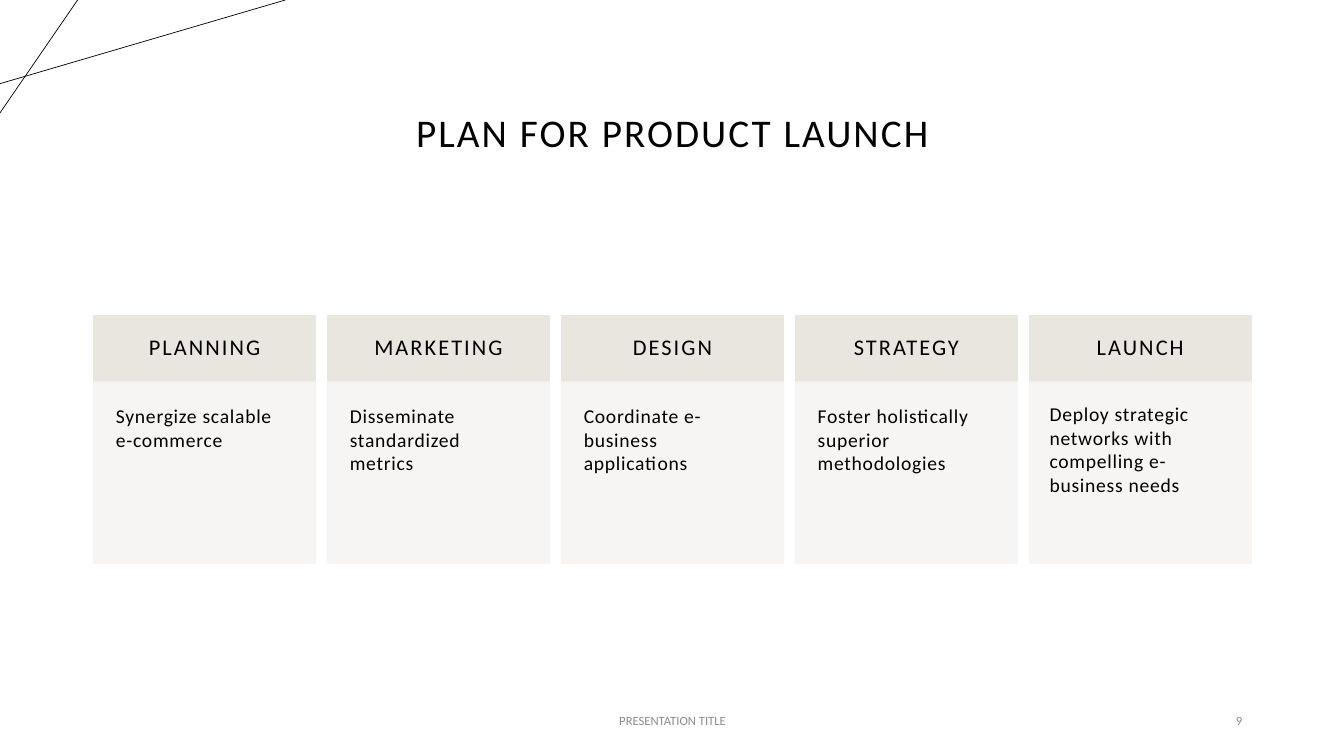
from lxml import etree
from pptx import Presentation
from pptx.dml.color import RGBColor
from pptx.enum import shapes, text
from pptx.oxml.ns import qn
from pptx.util import Inches, Pt

CENTER, LEFT, RIGHT = text.PP_ALIGN.CENTER, text.PP_ALIGN.LEFT, text.PP_ALIGN.RIGHT
TOP, MIDDLE, BOTTOM = text.MSO_ANCHOR.TOP, text.MSO_ANCHOR.MIDDLE, text.MSO_ANCHOR.BOTTOM


def color(hex_code):
    return RGBColor.from_string(hex_code)


def write(holder, words, size, align, anchor, spacing=0, ink="000000",
          inset=(0.1, 0.05), line_spacing=1.0):
    frame = holder.text_frame
    frame.word_wrap = True
    frame.auto_size = text.MSO_AUTO_SIZE.NONE
    frame.vertical_anchor = anchor
    frame.margin_left = frame.margin_right = Inches(inset[0])
    frame.margin_top = frame.margin_bottom = Inches(inset[1])
    paragraph = frame.paragraphs[0]
    paragraph.alignment = align
    paragraph.line_spacing = line_spacing
    run = paragraph.add_run()
    run.text = words
    run.font.size = Pt(size)
    run.font.name = "Calibri"
    run.font.color.rgb = color(ink)
    run.font._element.set("spc", str(int(spacing * 100)))


prs = Presentation()
prs.slide_width, prs.slide_height = Inches(13.33), Inches(7.5)
slide = prs.slides.add_slide(prs.slide_layouts[5])

# Crossing corner lines
for x1, y1, x2, y2 in [(0, 0.83, 2.83, 0), (0.77, 0, 0, 1.12)]:
    corner_line = slide.shapes.add_connector(
        shapes.MSO_CONNECTOR.STRAIGHT, Inches(x1), Inches(y1), Inches(x2), Inches(y2))
    corner_line.line.color.rgb = color("000000")
    corner_line.line.width = Pt(0.5)
    etree.SubElement(corner_line._element.spPr, qn("a:effectLst"))

# Title
title = slide.shapes.title
title.left, title.top = Inches(0.92), Inches(0.15)
title.width, title.height = Inches(11.5), Inches(1.45)
write(title, "PLAN FOR PRODUCT LAUNCH", 28, CENTER, BOTTOM, spacing=1.5, line_spacing=0.9)

# Launch phases: a heading band above a description panel
phases = [
    ("PLANNING", "Synergize scalable e-commerce", 0.22),
    ("MARKETING", "Disseminate standardized metrics", 0.22),
    ("DESIGN", "Coordinate e-business applications", 0.22),
    ("STRATEGY", "Foster holistically superior methodologies", 0.22),
    ("LAUNCH", "Deploy strategic networks with compelling e-business needs", 0.2),
]
for column, (phase, description, panel_inset) in enumerate(phases):
    left = Inches(0.93 + 2.32 * column)
    heading = slide.shapes.add_shape(
        shapes.MSO_SHAPE.RECTANGLE, left, Inches(3.13), Inches(2.2), Inches(0.66))
    panel = slide.shapes.add_shape(
        shapes.MSO_SHAPE.RECTANGLE, left, Inches(3.79), Inches(2.2), Inches(1.8))
    for box, shade in [(heading, "E9E6DF"), (panel, "F7F5F3")]:
        box.shadow.inherit = False
        box.fill.solid()
        box.fill.fore_color.rgb = color(shade)
        box.line.color.rgb = color(shade)
        box.line.width = Pt(1)
    # Panel fill and outline are 90% opaque
    for tint in panel._element.spPr.iter(qn("a:srgbClr")):
        etree.SubElement(tint, qn("a:alpha")).set("val", "90000")
    write(heading, phase, 16, CENTER, MIDDLE, spacing=1.5, inset=(0.17, 0.17),
          line_spacing=0.9)
    write(panel, description, 14, LEFT, TOP, spacing=0.5, inset=(panel_inset, panel_inset))

# Footer and slide number
for words, left, width, align in [("PRESENTATION TITLE", 4.42, 4.5, CENTER),
                                  ("9", 9.42, 3, RIGHT)]:
    footer = slide.shapes.add_textbox(Inches(left), Inches(6.95), Inches(width), Inches(0.4))
    write(footer, words, 9, align, MIDDLE, ink="8C8C8C")

prs.save("out.pptx")
